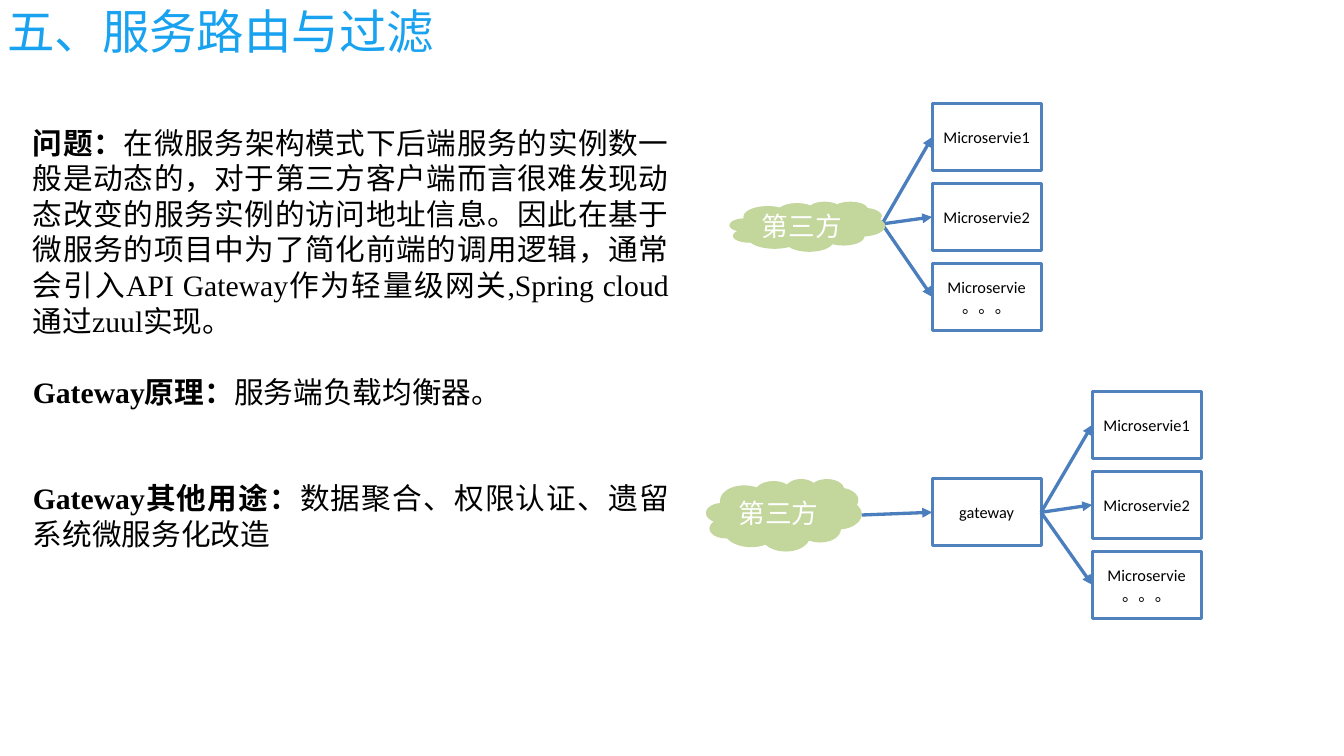
from dataclasses import dataclass

from pptx import Presentation
from pptx.dml.color import RGBColor
from pptx.enum.shapes import MSO_CONNECTOR, MSO_SHAPE
from pptx.enum.text import MSO_ANCHOR, PP_ALIGN
from pptx.oxml.ns import qn
from pptx.util import Inches, Pt
from lxml import etree

RECT, CLOUD = MSO_SHAPE.RECTANGLE, MSO_SHAPE.CLOUD
STRAIGHT = MSO_CONNECTOR.STRAIGHT
TOP, MIDDLE = MSO_ANCHOR.TOP, MSO_ANCHOR.MIDDLE
CENTER, JUSTIFY = PP_ALIGN.CENTER, PP_ALIGN.JUSTIFY
LEFT_SIDE, RIGHT_SIDE = 1, 3


@dataclass(frozen=True)
class Theme:
    title: str = "18A2EF"
    ink: str = "000000"
    paper: str = "FFFFFF"
    edge: str = "4F81BD"
    arrow: str = "4B7EBC"
    cloud: str = "C3D69B"
    head_font: str = "Arial"
    body_font: str = "Times New Roman"
    node_font: str = "Calibri"
    head_size: int = 32
    body_size: int = 20
    cloud_size: int = 18
    node_size: int = 11
    edge_width: float = 2
    arrow_width: float = 2.25


BOX_W, BOX_H, PITCH = 1.02, 0.63, 0.75
SERVICES = ["Microservie1", "Microservie2", "Microservie。。。"]

# Label, text and space before in points
NOTES = [
    ("问题：",
     "在微服务架构模式下后端服务的实例数一般是动态的，对于第三方客户端而言很难发现"
     "动态改变的服务实例的访问地址信息。因此在基于微服务的项目中为了简化前端的调用"
     "逻辑，通常会引入API Gateway作为轻量级网关,Spring cloud通过zuul实现。", 0),
    ("Gateway原理：", "服务端负载均衡器。", 24),
    ("Gateway其他用途：", "数据聚合、权限认证、遗留系统微服务化改造", 48),
]


class Board:
    def __init__(self, slide, theme):
        self.slide = slide
        self.theme = theme

    def style(self, run, font, size, color, bold=False):
        run.font.name = font
        run.font.size = Pt(size)
        run.font.bold = bold
        run.font.color.rgb = RGBColor.from_string(color)

    def frame(self, x, y, w, h):
        """Add a wrapping text box and return its text frame."""
        box = self.slide.shapes.add_textbox(
            Inches(x), Inches(y), Inches(w), Inches(h))
        box.text_frame.word_wrap = True
        box.text_frame.vertical_anchor = TOP
        return box.text_frame

    def title(self, text, *place):
        para = self.frame(*place).paragraphs[0]
        para.text = text
        t = self.theme
        self.style(para.runs[0], t.head_font, t.head_size, t.title)

    def notes(self, items, *place):
        frame, t = self.frame(*place), self.theme
        for i, (label, text, gap) in enumerate(items):
            para = frame.add_paragraph() if i else frame.paragraphs[0]
            para.alignment = JUSTIFY
            para.space_before = Pt(gap)
            for part, bold in ((label, True), (text, False)):
                run = para.add_run()
                run.text = part
                self.style(run, t.body_font, t.body_size, t.ink, bold)

    def shape(self, kind, text, place, fill, size, color):
        item = self.slide.shapes.add_shape(kind, *map(Inches, place))
        item.shadow.inherit = False
        item.fill.solid()
        item.fill.fore_color.rgb = RGBColor.from_string(fill)
        frame = item.text_frame
        frame.word_wrap = True
        frame.vertical_anchor = MIDDLE
        para = frame.paragraphs[0]
        para.text = text
        para.alignment = CENTER
        self.style(para.runs[0], self.theme.node_font, size, color)
        return item

    def node(self, text, x, y):
        t = self.theme
        box = self.shape(RECT, text, (x, y, BOX_W, BOX_H),
                         t.paper, t.node_size, t.ink)
        box.line.color.rgb = RGBColor.from_string(t.edge)
        box.line.width = Pt(t.edge_width)
        return box

    def cloud(self, text, *place):
        t = self.theme
        item = self.shape(CLOUD, text, place, t.cloud, t.cloud_size, t.paper)
        item.line.fill.background()

    def arrow(self, start, box):
        """Point from a box, or an (x, y) place, to the left side of a box."""
        free = isinstance(start, tuple)
        x, y = map(Inches, start) if free else (0, 0)
        line = self.slide.shapes.add_connector(STRAIGHT, x, y, x, y)
        if not free:
            line.begin_connect(start, RIGHT_SIDE)
        line.end_connect(box, LEFT_SIDE)
        line.line.color.rgb = RGBColor.from_string(self.theme.arrow)
        line.line.width = Pt(self.theme.arrow_width)
        tip = etree.SubElement(line.line._get_or_add_ln(), qn("a:tailEnd"))
        tip.set("type", "triangle")
        etree.SubElement(line._element.spPr, qn("a:effectLst"))

    def fan(self, start, x, y):
        """Stack the services and point to each of them from one start."""
        for i, name in enumerate(SERVICES):
            self.arrow(start, self.node(name, x, y + i * PITCH))


def main():
    deck = Presentation()
    deck.slide_width, deck.slide_height = Inches(12.6), Inches(7.09)
    board = Board(deck.slides.add_slide(deck.slide_layouts[6]), Theme())

    board.title("五、服务路由与过滤", -0.03, -0.03, 10.87, 0.56)
    board.notes(NOTES, 0.21, 1.12, 6.16, 5.15)

    board.fan((8.27, 2.1), 8.74, 0.97)
    board.cloud("第三方", 6.84, 1.89, 1.46, 0.47)

    gateway = board.node("gateway", 8.74, 4.49)
    board.fan(gateway, 10.24, 3.67)
    board.cloud("第三方", 6.62, 4.49, 1.46, 0.68)
    board.arrow((8.08, 4.83), gateway)

    deck.save("out.pptx")


if __name__ == "__main__":
    main()
